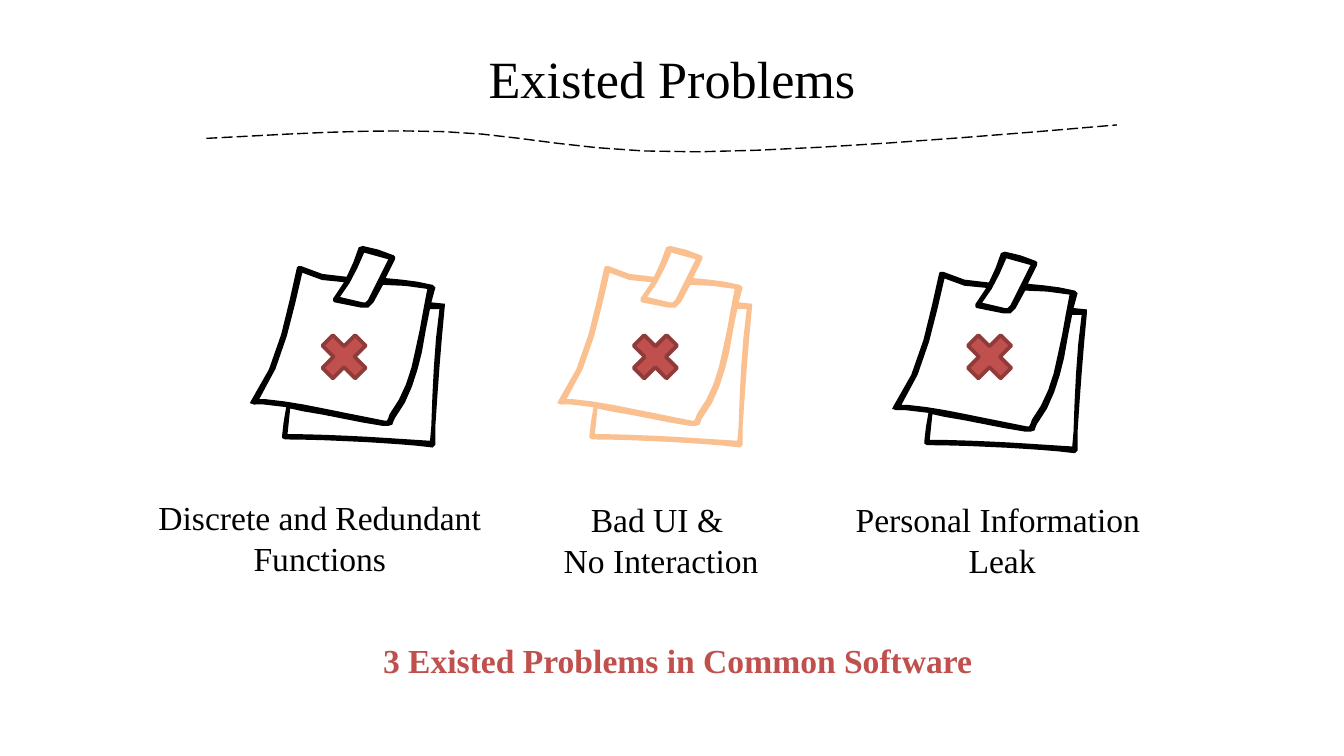
from math import cos, dist, radians, sin

from pptx import Presentation
from pptx.dml.color import RGBColor
from pptx.enum.dml import MSO_LINE_DASH_STYLE as Dash
from pptx.enum.shapes import MSO_SHAPE as Preset
from pptx.enum.text import MSO_AUTO_SIZE as AutoSize, PP_ALIGN as Align
from pptx.util import Pt

BLACK = RGBColor(0x00, 0x00, 0x00)
PEACH = RGBColor(0xFA, 0xC0, 0x90)
RED = RGBColor(0xC0, 0x50, 0x4D)
DARK_RED = RGBColor(0x8E, 0x3B, 0x39)

TITLE_FORMAT = {"name": "Times New Roman", "size": Pt(28)}
CAPTION_FORMAT = {"name": "Times New Roman", "size": Pt(18)}
SUMMARY_FORMAT = {**CAPTION_FORMAT, "bold": True}

TILT = 2.8
NOTE_GRID = (142, 147)
# Outlines of the tilted note on its grid: a pair is a corner,
# six numbers are a cubic curve (two control points and the end).
NOTE_OUTLINE = [
    (143, 43), (133, 42), (133, 38, 134, 35, 136, 31), (135, 30), (134, 29),
    (122, 26, 111, 25, 99, 24), (101, 19, 103, 15, 106, 10), (106, 8), (105, 7),
    (97, 4, 90, 1, 82, 0), (79, 1), (77, 9, 73, 16, 70, 23),
    (57, 22, 46, 21, 36, 15), (34, 15), (33, 16), (26, 45, 20, 87, -1, 115),
    (-2, 117), (1, 118), (8, 118), (14, 118, 19, 119, 25, 120),
    (23, 128, 23, 134, 22, 141), (22, 143), (24, 144),
    (42, 144, 64, 145, 84, 146), (101, 147, 118, 148, 134, 150),
    (135, 149), (136, 148), (136, 134), (138, 104, 140, 75, 143, 45),
]
TAPE_HOLE = [
    (83, 5), (89, 6, 95, 7, 101, 10), (96, 20, 91, 30, 86, 40), (85, 41),
    (84, 42), (82, 42), (77, 41, 71, 39, 65, 38), (73, 28, 78, 17, 83, 5),
]
FRONT_SHEET_HOLE = [
    (5, 114), (24, 86, 30, 48, 37, 20), (46, 25, 57, 27, 68, 27), (60, 39),
    (60, 41), (61, 42), (67, 44, 75, 45, 81, 46), (86, 46), (88, 44), (90, 42),
    (92, 38, 94, 33, 97, 29), (108, 29, 119, 30, 130, 32),
    (127, 46, 125, 62, 121, 78), (118, 95, 112, 112, 102, 125), (101, 128),
    (100, 130), (98, 130), (78, 126, 58, 122, 38, 118),
    (29, 116, 18, 115, 9, 114),
]
BACK_SHEET_HOLE = [
    (26, 140), (28, 121), (37, 123), (57, 126, 77, 131, 97, 134), (101, 134),
    (104, 133), (105, 130), (106, 128), (117, 114, 122, 96, 126, 79),
    (128, 67, 130, 56, 132, 47), (139, 47), (135, 76, 134, 105, 133, 134),
    (132, 145), (117, 144, 101, 143, 85, 142), (65, 141, 44, 140, 26, 140),
]
NOTE_CONTOURS = [NOTE_OUTLINE, TAPE_HOLE, FRONT_SHEET_HOLE, BACK_SHEET_HOLE]

# Wave across a box of width 1 and height 1.
WAVE = [
    (0, 0.5), (0.09, 0.35, 0.17, 0.15, 0.26, 0.25),
    (0.35, 0.35, 0.41, 1.05, 0.54, 1), (0.66, 0.95, 0.83, 0.5, 1, 0),
]


def flatten(contour, spacing, most_steps):
    """Turn corners and cubic curves into points about one spacing apart."""
    points = []
    for part in contour:
        if len(part) == 2:
            points.append(part)
            continue
        controls = [points[-1], part[0:2], part[2:4], part[4:6]]
        length = dist(controls[0], controls[3])
        steps = min(most_steps, max(1, round(length / spacing)))
        for step in range(1, steps + 1):
            t = step / steps
            weights = ((1 - t) ** 3, 3 * t * (1 - t) ** 2, 3 * t * t * (1 - t), t ** 3)
            points.append(tuple(
                sum(weight * control[axis] for weight, control in zip(weights, controls))
                for axis in (0, 1)))
    return points


def add_outline(slide, contours, close):
    """Build one freeform from contours given in points."""
    contours = [[(Pt(x), Pt(y)) for x, y in contour] for contour in contours]
    builder = slide.shapes.build_freeform(*contours[0][0], scale=1.0)
    for index, contour in enumerate(contours):
        if index:
            builder.move_to(*contour[0])
        builder.add_line_segments(contour[1:], close=close)
    shape = builder.convert_to_shape()
    shape.shadow.inherit = False
    return shape


def add_text(slide, box, lines, text_format, color, alignment=Align.CENTER):
    shape = slide.shapes.add_textbox(*map(Pt, box))
    frame = shape.text_frame
    frame.word_wrap = True
    frame.auto_size = AutoSize.SHAPE_TO_FIT_TEXT
    for index, line in enumerate(lines):
        paragraph = frame.add_paragraph() if index else frame.paragraphs[0]
        paragraph.alignment = alignment
        run = paragraph.add_run()
        run.text = line
        for name, value in text_format.items():
            setattr(run.font, name, value)
        run.font.color.rgb = color


def add_wave(slide, box):
    left, top, width, height = box
    points = [(left + x * width, top + y * height) for x, y in flatten(WAVE, 0.05, 6)]
    shape = add_outline(slide, [points], close=False)
    shape.fill.background()
    shape.line.color.rgb = BLACK
    shape.line.width = Pt(0.75)
    shape.line.dash_style = Dash.LONG_DASH


def add_note(slide, box, color):
    """Draw the pinned note upright in its box, then tilt it."""
    left, top, width, height = box
    scale = width / NOTE_GRID[0]
    cosine, sine = cos(radians(TILT)), sin(radians(TILT))

    def upright(point):
        x, y = (scale * (value - size / 2) for value, size in zip(point, NOTE_GRID))
        return (left + width / 2 + x * cosine + y * sine,
                top + height / 2 - x * sine + y * cosine)

    contours = [[upright(point) for point in flatten(contour, 14, 4)]
                for contour in NOTE_CONTOURS]
    shape = add_outline(slide, contours, close=True)
    shape.rotation = TILT
    shape.fill.solid()
    shape.fill.fore_color.rgb = color
    shape.line.fill.background()


def add_cross(slide, box):
    shape = slide.shapes.add_shape(Preset.MATH_MULTIPLY, *map(Pt, box))
    shape.shadow.inherit = False
    shape.fill.solid()
    shape.fill.fore_color.rgb = RED
    shape.line.color.rgb = DARK_RED
    shape.line.width = Pt(2)


def add_problem(slide, note_box, color, cross_left, caption_box, lines):
    add_note(slide, note_box, color)
    add_cross(slide, (cross_left, 174.24, 33.84, 33.84))
    add_text(slide, caption_box, lines, CAPTION_FORMAT, BLACK)


def main():
    presentation = Presentation()
    presentation.slide_width, presentation.slide_height = Pt(720), Pt(405)
    slide = presentation.slides.add_slide(presentation.slide_layouts[6])

    add_text(slide, (190.08, 21.2, 339.84, 41.04), ["Existed Problems"],
             TITLE_FORMAT, BLACK)
    add_wave(slide, (110.6, 66.96, 487.7, 14.4))

    problems = [
        ((135.36, 131.76), BLACK, 167.4, (72, 262.8),
         ["Discrete and Redundant Functions"]),
        ((300, 131.76), PEACH, 334.2, (254.88, 263.9),
         ["Bad UI & ", "No Interaction"]),
        ((479.4, 134.8), BLACK, 513.2, (435.3, 263.9),
         ["Personal Information", " Leak"]),
    ]
    for note_corner, color, cross_left, caption_corner, lines in problems:
        add_problem(slide, (*note_corner, 102.24, 105.84), color, cross_left,
                    (*caption_corner, 198.72, 51.12), lines)

    add_text(slide, (198.1, 339.12, 339.84, 28.8),
             ["3 Existed Problems in Common Software"],
             SUMMARY_FORMAT, RED, Align.LEFT)
    presentation.save("out.pptx")


if __name__ == "__main__":
    main()
